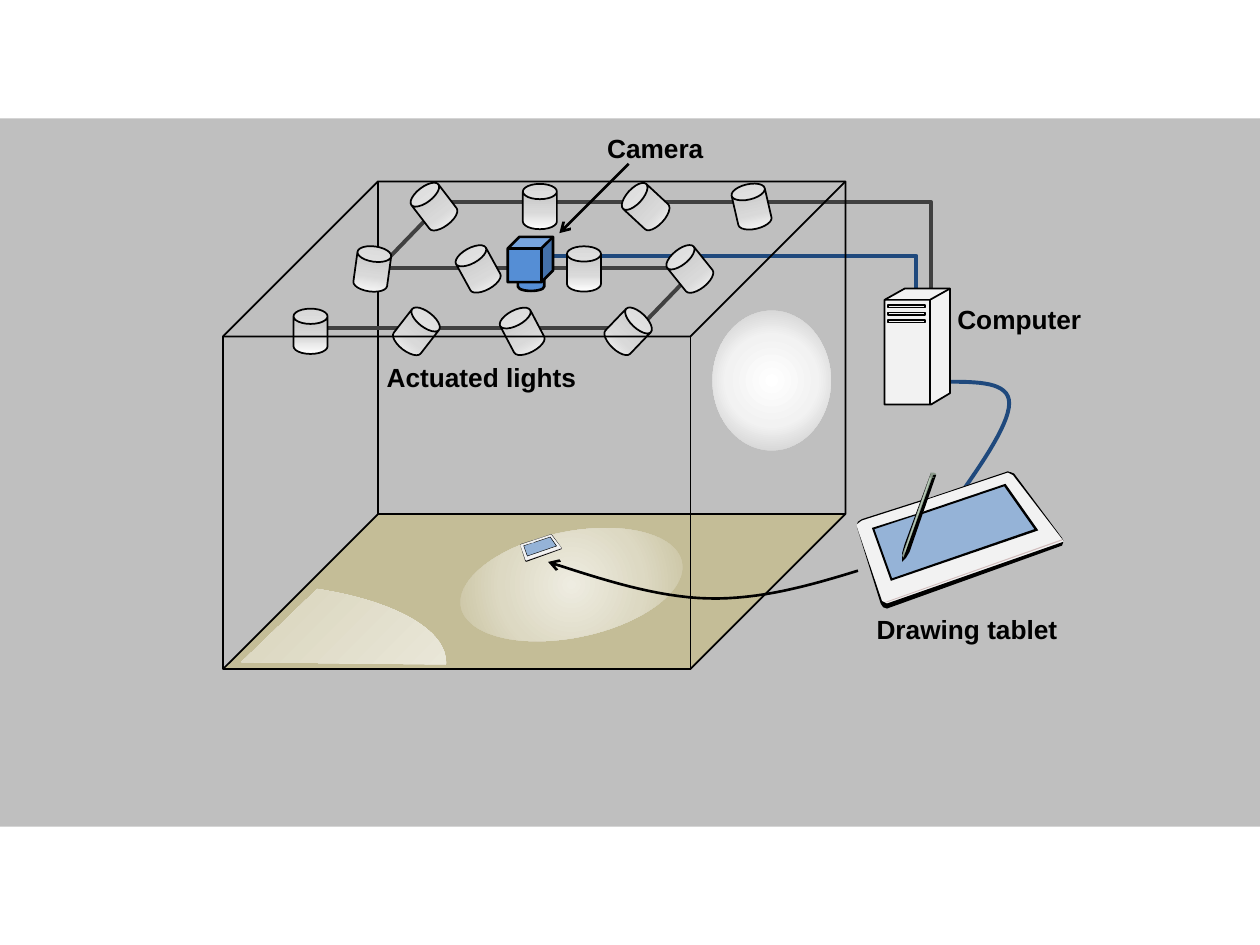
from collections import namedtuple

from lxml import etree
from pptx import Presentation
from pptx.dml.color import RGBColor
from pptx.enum import shapes, text
from pptx.oxml import ns
from pptx.util import Cm, Pt

# Boxes and offsets are in inches; length() turns them into Cm
Box = namedtuple("Box", "left top width height")
KIND = shapes.MSO_SHAPE
BLACK, CABLE_GREY, CABLE_BLUE = "000000", "404040", "1F497D"
CASE, SCREEN, CAMERA = "F2F2F2", "95B3D7", "558ED5"


def length(inches):
    return Cm(inches * 2.54)


def colour(color_format, value):
    color_format.rgb = RGBColor.from_string(value)


def style(shape, fill=None, line=None, width=1):
    shape.shadow.inherit = False
    if fill:
        shape.fill.solid()
        colour(shape.fill.fore_color, fill)
    else:
        shape.fill.background()
    if line:
        colour(shape.line.color, line)
        shape.line.width = Pt(width)
    else:
        shape.line.fill.background()
    return shape


def gradient(shape, stops, angle=None):
    """Linear gradient at an angle, or radial from the centre without one."""
    shape.fill.gradient()
    fill = shape._element.spPr.find(ns.qn("a:gradFill"))
    for child in list(fill):
        fill.remove(child)
    stop_list = etree.SubElement(fill, ns.qn("a:gsLst"))
    for position, value in stops:
        stop = etree.SubElement(stop_list, ns.qn("a:gs"), pos=str(position * 1000))
        etree.SubElement(stop, ns.qn("a:srgbClr"), val=value)
    if angle is None:
        radial = etree.SubElement(fill, ns.qn("a:path"), path="circle")
        etree.SubElement(radial, ns.qn("a:fillToRect"), l="50000", t="50000", r="50000", b="50000")
    else:
        etree.SubElement(fill, ns.qn("a:lin"), ang=str(angle * 60000), scaled="0")


def add_arrowhead(shape):
    line = shape._element.spPr.find(ns.qn("a:ln"))
    etree.SubElement(line, ns.qn("a:tailEnd"), type="arrow")


def add_preset(slide, kind, box, x, y, width, height, rotation=0, adjustments=()):
    shape = slide.shapes.add_shape(
        kind, length(box.left + x), length(box.top + y), length(width), length(height))
    shape.rotation = rotation
    for index, value in enumerate(adjustments):
        shape.adjustments[index] = value
    return style(shape)


def add_line(slide, box, start, end, color, width, bend=None):
    kind = shapes.MSO_CONNECTOR.ELBOW if bend else shapes.MSO_CONNECTOR.STRAIGHT
    line = slide.shapes.add_connector(
        kind, length(box.left + start[0]), length(box.top + start[1]),
        length(box.left + end[0]), length(box.top + end[1]))
    colour(line.line.color, color)
    line.line.width = Pt(width)
    properties = line._element.spPr
    if bend:
        guides = properties.find(ns.qn("a:prstGeom")).find(ns.qn("a:avLst"))
        etree.SubElement(guides, ns.qn("a:gd"), name="adj1", fmla=f"val {round(bend * 100000)}")
    etree.SubElement(properties, ns.qn("a:effectLst"))
    return line


def add_outline(slide, box, contours, scale=1.0, closed=True):
    placed = [[(length(box.left + x * scale), length(box.top + y * scale)) for x, y in contour]
              for contour in contours]
    builder = slide.shapes.build_freeform(*placed[0][0])
    for index, contour in enumerate(placed):
        if index:
            builder.move_to(*contour[0])
        builder.add_line_segments(contour[1:], close=closed)
    return style(builder.convert_to_shape())


def bezier(start, control_1, control_2, end, steps=16):
    points = []
    for step in range(steps + 1):
        t = step / steps
        weights = ((1 - t) ** 3, 3 * t * (1 - t) ** 2, 3 * t * t * (1 - t), t ** 3)
        points.append(tuple(sum(w * p for w, p in zip(weights, axis))
                            for axis in zip(start, control_1, control_2, end)))
    return points


def draw_room(slide, box):
    # Floor, its two pools of light and the spot on the wall
    depth = 1.23
    floor = add_preset(slide, KIND.PARALLELOGRAM, box, 0, box.height - depth,
                       box.width, depth, adjustments=[1.0])
    style(floor, "C4BD97")
    corner = add_preset(slide, KIND.PIE, box, -1.48, 3.19, 3.25, 1.25,
                        adjustments=[189.63, 0.4])
    gradient(corner, [(0, "EEECE1"), (50, "DDD9C3"), (100, "EEECE1")], 45)
    pool = add_preset(slide, KIND.OVAL, box, 1.87, 2.78, 1.79, 0.84, 348.4)
    gradient(pool, [(0, "EEECE1"), (50, "DDD9C3"), (100, "C4BD97")])
    spot = add_preset(slide, KIND.OVAL, box, 3.8, 1.11, 1.11, 0.94, 90)
    gradient(spot, [(0, "FFFFFF"), (50, "F2F2F2"), (100, "BFBFBF")])
    # Rear edges meet in the far corner
    far_corner = (depth, box.height - depth)
    for end in ((box.width, far_corner[1]), (depth, 0), (0, box.height)):
        add_line(slide, box, far_corner, end, BLACK, 1)


def draw_room_frame(slide, box):
    frame = add_preset(slide, KIND.CUBE, box, 0, 0, box.width, box.height, adjustments=[0.318])
    style(frame, line=BLACK)


def draw_rig(slide, box):
    for start, end in (((1.14, 0.19), (0.59, 0.76)), ((0.69, 0.67), (3.12, 0.67)),
                       ((3.19, 0.68), (2.64, 1.25)), ((0.21, 1.14), (2.64, 1.14))):
        add_line(slide, box, start, end, CABLE_GREY, 2.25)


def draw_lights(slide, box):
    rotations = [(322.6, 0, 312.8, 347), (7.9, 331.2, 0, 321.2), (0, 37.8, 332.3, 43.8)]
    for row, angles in enumerate(rotations):
        for column, angle in enumerate(angles):
            light = add_preset(slide, KIND.CAN, box, 0.98 - 0.49 * row + 0.84 * column,
                               0.495 * row, 0.27, 0.36, angle, [0.45])
            style(light, line=BLACK)
            gradient(light, [(0, "BFBFBF"), (63, "D9D9D9"), (100, "FFFFFF")], 90)


def draw_cables(slide, box):
    add_line(slide, box, (0.67, 0.43), (3.91, 1.15), CABLE_BLUE, 2.25, bend=0.933)
    add_line(slide, box, (0, 0), (3.85, 0.79), CABLE_GREY, 2.25, bend=0.989)
    upper = bezier((3.93, 1.43), (4.18, 1.43), (4.43, 1.43), (4.43, 1.6))
    lower = bezier((4.43, 1.6), (4.43, 1.78), (4.18, 2.13), (3.93, 2.48))
    style(add_outline(slide, box, [upper + lower[1:]], closed=False), line=CABLE_BLUE, width=2.25)


def draw_camera(slide, box):
    lens = add_preset(slide, KIND.CAN, box, 0.08, 0.2, 0.21, 0.23, adjustments=[0.335])
    body = add_preset(slide, KIND.CUBE, box, 0, 0, 0.36, 0.36, adjustments=[0.259])
    for part in (lens, body):
        style(part, CAMERA, BLACK, 1.5)
    slide.shapes.add_group_shape([lens, body])


def draw_computer(slide, box):
    case = [(0, 0.09), (0.16, 0), (0.52, 0), (0.52, 0.83), (0.37, 0.92), (0, 0.92)]
    style(add_outline(slide, box, [case]), CASE, BLACK)
    edges = [[(0, 0.09), (0.36, 0.09), (0.52, 0)], [(0.36, 0.09), (0.36, 0.92)]]
    slots = [[(0.03, y), (0.32, y), (0.32, y + 0.02), (0.03, y + 0.02), (0.03, y)]
             for y in (0.13, 0.19, 0.25)]
    style(add_outline(slide, box, edges + slots, closed=False), line=BLACK)


def draw_tablet(slide, box, with_pen):
    # Points are in hundredths of an inch on a tablet 1.64 inches wide
    body = [
        (CASE, [(2, 40), (0, 42), (0, 44), (20, 105), (23, 107), (163, 59), (164, 56),
                (163, 53), (124, 2), (121, 0)]),
        ("D1BDBD", [(22, 104), (24, 104), (163, 55), (163, 54)]),
        (SCREEN, [(13, 46), (118, 11), (143, 46), (27, 86)])]
    pen = [
        ("8A998A", [(36, 70), (36, 67), (37, 64), (59, 1), (61, 1), (63, 2), (63, 3), (39, 68)]),
        (BLACK, [(36, 72), (37, 71), (39, 69), (42, 64), (63, 3), (61, 3), (60, 4), (62, 5),
                 (60, 5), (37, 69), (36, 67), (37, 64), (59, 1), (38, 58), (36, 65)]),
        ("B8CCB8", [(58, 5), (38, 63), (38, 65), (59, 5)])]
    edges = [
        [(0, 42), (1, 40), (4, 38), (51, 23), (51, 24), (4, 39)],
        [(55, 22), (120, 0), (123, 1), (125, 2), (163, 53), (164, 55), (124, 3), (122, 2),
         (120, 1), (54, 23)],
        [(47, 35), (14, 46), (28, 85), (141, 46), (117, 12), (52, 34), (53, 32), (118, 10),
         (144, 47), (27, 87), (12, 45), (47, 34)],
        [(0, 44), (19, 105), (21, 108), (24, 109), (163, 59), (164, 56), (24, 105), (20, 103)]]
    parts = body + [(BLACK, edge) for edge in edges] + (pen if with_pen else [])
    slide.shapes.add_group_shape([
        style(add_outline(slide, box, [points], box.width / 164), fill) for fill, points in parts])


def draw_pointers(slide, room):
    right = bezier((5.04, 3.09), (4.65, 3.21), (4.26, 3.32), (3.85, 3.31))
    left = bezier((3.85, 3.31), (3.44, 3.3), (3.01, 3.16), (2.58, 3.02))
    curve = add_outline(slide, room, [right + left[1:]], closed=False)
    add_arrowhead(style(curve, line=BLACK, width=1.5))
    add_arrowhead(add_line(slide, room, (3.22, -0.14), (2.67, 0.41), BLACK, 1.5))


def draw_label(slide, box, caption, alignment):
    frame = slide.shapes.add_textbox(*map(length, box)).text_frame
    frame.word_wrap = True
    frame.auto_size = text.MSO_AUTO_SIZE.SHAPE_TO_FIT_TEXT
    frame.text = caption
    paragraph = frame.paragraphs[0]
    paragraph.alignment = alignment
    font = paragraph.runs[0].font
    font.name, font.size, font.bold = "Arial", Pt(15), True
    colour(font.color, BLACK)


def main():
    presentation = Presentation()
    presentation.slide_width, presentation.slide_height = length(10), length(7.5)
    slide = presentation.slides.add_slide(presentation.slide_layouts[6])
    backdrop = Box(0, 0.94, 10, 5.62)
    style(add_preset(slide, KIND.RECTANGLE, backdrop, 0, 0, 10, 5.62), "BFBFBF")

    room = Box(1.77, 1.44, 4.94, 3.87)
    lights = Box(2.33, 1.46, 3.78, 1.35)
    draw_room(slide, room)
    draw_rig(slide, lights)
    draw_cables(slide, Box(3.58, 1.6, 4.43, 2.48))
    draw_tablet(slide, Box(6.8, 3.74, 1.64, 1.09), with_pen=True)
    draw_camera(slide, Box(4.03, 1.88, 0.36, 0.43))
    draw_computer(slide, Box(7.02, 2.29, 0.52, 0.92))
    draw_tablet(slide, Box(4.13, 4.24, 0.33, 0.22), with_pen=False)
    draw_lights(slide, lights)
    draw_room_frame(slide, room)
    draw_pointers(slide, room)

    align = text.PP_ALIGN
    draw_label(slide, Box(4.72, 1, 1.1, 0.35), "Camera", align.LEFT)
    draw_label(slide, Box(6.81, 4.82, 1.73, 0.35), "Drawing tablet", align.CENTER)
    draw_label(slide, Box(7.42, 2.36, 1.26, 0.35), "Computer", align.RIGHT)
    draw_label(slide, Box(2.97, 2.82, 1.97, 0.35), "Actuated lights", align.LEFT)
    presentation.save("out.pptx")


if __name__ == "__main__":
    main()
